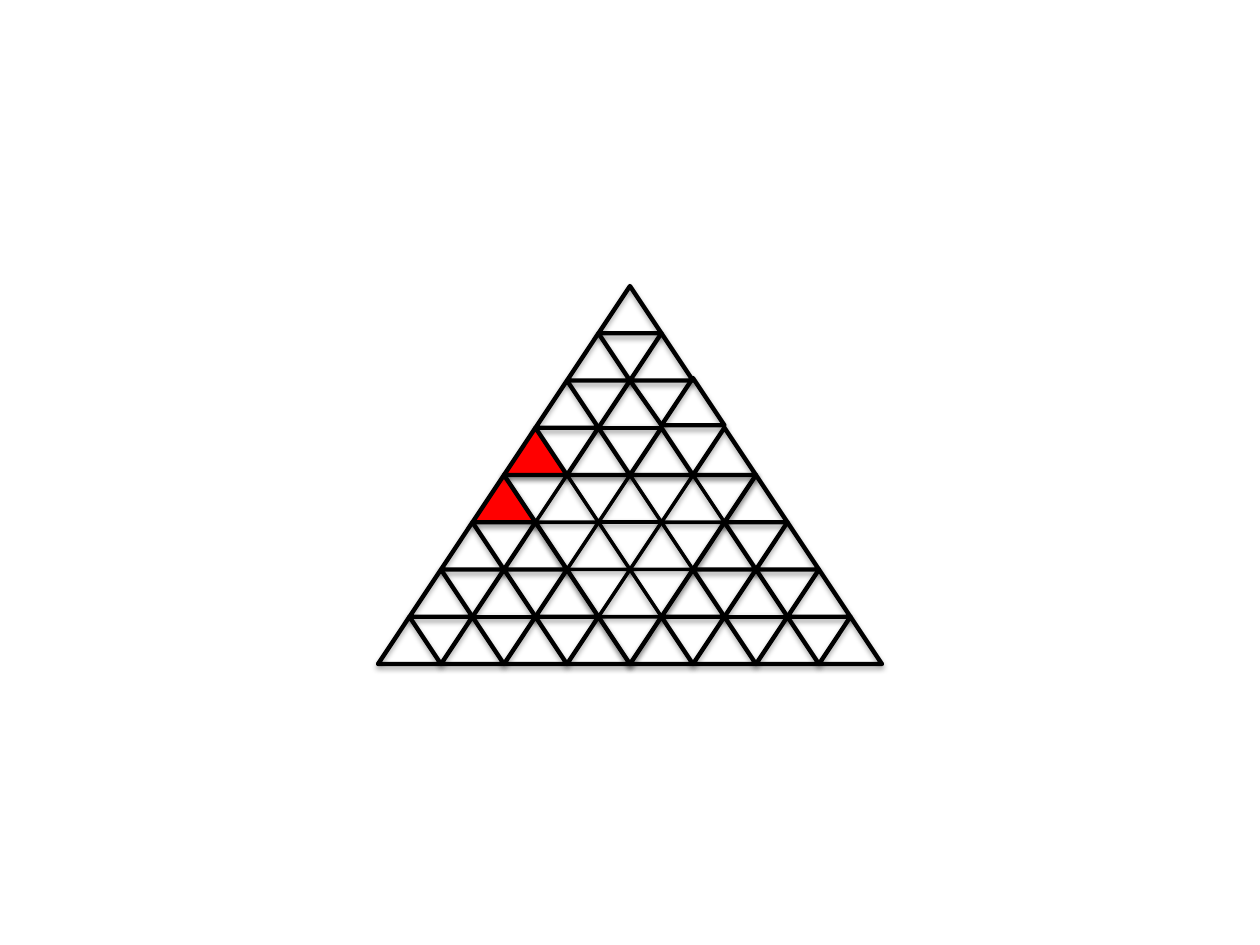
from lxml import etree
from pptx import Presentation
from pptx.dml.color import RGBColor
from pptx.enum.shapes import MSO_CONNECTOR, MSO_SHAPE
from pptx.oxml.ns import qn
from pptx.util import Inches, Pt

TRIANGLE = MSO_SHAPE.ISOSCELES_TRIANGLE
STRAIGHT = MSO_CONNECTOR.STRAIGHT

BLACK, RED = "000000", "FF0000"
SIDE = 0.5             # base of one small triangle
HALF = SIDE / 2
ROW = 1.5 / 4          # height of one small triangle; four rows per cluster
NUDGE = 0.02           # one cell and one line end of the top cluster sit higher

# Small triangles of a cluster: (half bases from the apex, rows from the apex)
CELLS = [(0, 0), (-1, 1), (1, 1), (-2, 2), (-3, 3), (-1, 3), (2, 2), (1, 3), (3, 3)]
# Lines that close the middle of a cluster, in the same units
MIDDLE_LINES = [((-1, 3), (0, 2)), ((-1, 3), (1, 3)), ((1, 3), (0, 2))]


def color(value):
    return RGBColor.from_string(value)


def add_shadow(item, distance, opacity):
    """Give a shape or connector a soft shadow straight below it."""
    effects = etree.SubElement(item._element.spPr, qn("a:effectLst"))
    shadow = etree.SubElement(
        effects, qn("a:outerShdw"), blurRad=str(Pt(3.15)), dist=str(Pt(distance)),
        dir="5400000", rotWithShape="0")
    tint = etree.SubElement(shadow, qn("a:srgbClr"), val=BLACK)
    etree.SubElement(tint, qn("a:alpha"), val=str(opacity * 1000))


def set_line(item, width):
    item.line.color.rgb = color(BLACK)
    item.line.width = Pt(width)


def add_triangle(group, left, top, width, fill=None, rotation=0):
    triangle = group.shapes.add_shape(
        TRIANGLE, Inches(left), Inches(top), Inches(SIDE), Inches(ROW))
    triangle.rotation = rotation
    if fill:
        triangle.fill.solid()
        triangle.fill.fore_color.rgb = color(fill)
    else:
        triangle.fill.background()
    set_line(triangle, width)
    add_shadow(triangle, 1.8, 35)


def add_line(group, start, end, width):
    line = group.shapes.add_connector(
        STRAIGHT, *(Inches(value) for value in (*start, *end)))
    set_line(line, width)
    add_shadow(line, 1.6, 38)


def add_cluster(page, apex_x, apex_y, width=2.5, inverted=False, red=None, raised=None):
    """Draw four rows of small triangles that spread out from an apex."""
    group = page.shapes.add_group_shape()
    sign = -1 if inverted else 1

    def place(point):
        across, down = point
        return apex_x + sign * across * HALF, apex_y + sign * down * ROW

    for index, cell in enumerate(CELLS):
        x, y = place(cell)
        top = y - ROW if inverted else y
        if index == raised:
            top -= NUDGE
        add_triangle(group, x - HALF, top, width,
                     fill=RED if index == red else None,
                     rotation=180 if inverted else 0)

    for index, (start, end) in enumerate(MIDDLE_LINES):
        x, y = place(start)
        if raised is not None and index == len(MIDDLE_LINES) - 1:
            y -= NUDGE
        add_line(group, (x, y), place(end), width)


def main():
    deck = Presentation()
    deck.slide_width, deck.slide_height = Inches(10), Inches(7.5)
    page = deck.slides.add_slide(deck.slide_layouts[6])

    # Centre cluster points down, the other three surround it
    add_cluster(page, 5, 5.27, width=2, inverted=True)
    add_cluster(page, 4, 3.77, red=0)
    add_cluster(page, 6, 3.77)
    add_cluster(page, 5, 2.27, red=4, raised=6)

    deck.save("out.pptx")


if __name__ == "__main__":
    main()
